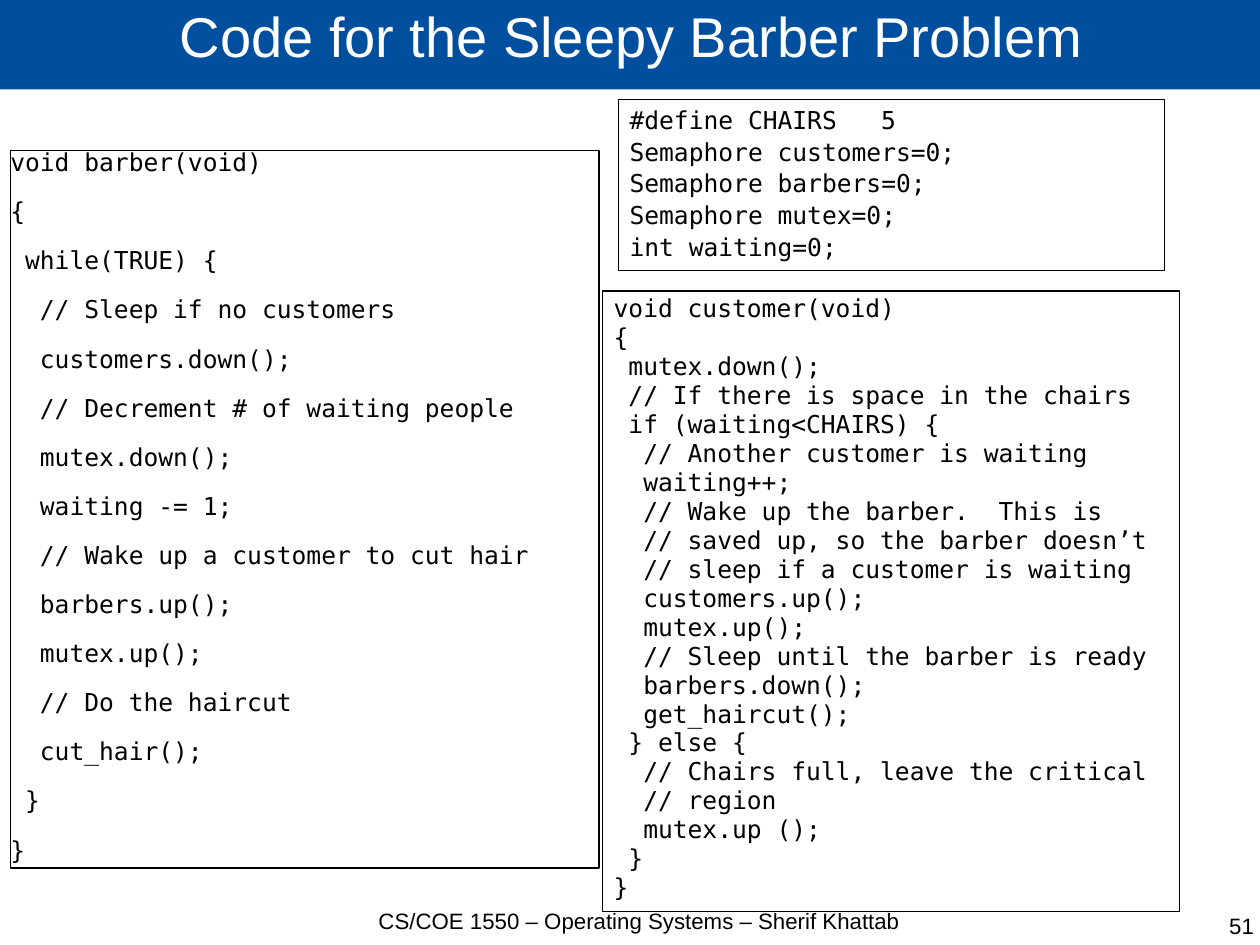
from pptx import Presentation
from pptx.dml.color import RGBColor as Rgb
from pptx.enum.text import MSO_ANCHOR as Anchor, MSO_AUTO_SIZE as Fit, PP_ALIGN as Align
from pptx.oxml import parse_xml
from pptx.oxml.ns import nsdecls
from pptx.util import Cm, Inches, Pt

COLORS = {"bar": "004F9E", "ink": "000000", "paper": "FFFFFF"}
SANS, MONO = "Arial", "DejaVu Sans Mono"
WIDE, HIGH = Cm(28), Cm(21)
PAD = (0.1, 0.05)

TITLE = "Code for the Sleepy Barber Problem"
FOOT = "CS/COE 1550 – Operating Systems – Sherif Khattab"
PAGE = "51"

BARBER = """void barber(void)
{
 while(TRUE) {
  // Sleep if no customers
  customers.down();
  // Decrement # of waiting people
  mutex.down();
  waiting -= 1;
  // Wake up a customer to cut hair
  barbers.up();
  mutex.up();
  // Do the haircut
  cut_hair();
 }
}"""

SETUP = """#define CHAIRS\t5
Semaphore customers=0;
Semaphore barbers=0;
Semaphore mutex=0;
int waiting=0;"""

CUSTOMER = """void customer(void)
{
 mutex.down();
 // If there is space in the chairs
 if (waiting<CHAIRS) {
  // Another customer is waiting
  waiting++;
  // Wake up the barber.  This is
  // saved up, so the barber doesn’t
  // sleep if a customer is waiting
  customers.up();
  mutex.up();
  // Sleep until the barber is ready
  barbers.down();
  get_haircut();
 } else {
  // Chairs full, leave the critical
  // region
  mutex.up ();
 }
}"""

PANELS = [
    dict(text=BARBER, at=(0.82, 15.92, 46.73, 75.94), edge=1, pad=(0, 0),
         hang=0.5, lead=0.9, after=14.2),
    dict(text=FOOT, at=(27.86, 95.97, 45.74, 6.65), font=SANS, size=14, align=Align.CENTER),
    dict(text=PAGE, at=(76.56, 96.57, 22.96, 6.65), font=SANS, size=14, align=Align.RIGHT),
    dict(text=SETUP, at=(49.07, 10.5, 43.36, 18.14), edge=0.75, pad=PAD,
         before=1.4, tab=2.2),
    dict(text=CUSTOMER, at=(47.81, 30.8, 45.81, 65.66), edge=1, pad=PAD,
         hang=0.41, lead=0.9, before=1.5),
]


def tint(name):
    return Rgb.from_string(COLORS[name])


def place(at):
    return [int(share / 100 * side) for share, side in zip(at, (WIDE, HIGH) * 2)]


def write(shape, text, font=MONO, size=15.5, color="ink", align=Align.LEFT, pad=(0, 0),
          anchor=Anchor.TOP, hang=0, lead=1.0, before=0, after=0, tab=None):
    frame = shape.text_frame
    frame.word_wrap, frame.auto_size = True, Fit.NONE
    frame.vertical_anchor = anchor
    frame.margin_left = frame.margin_right = Inches(pad[0])
    frame.margin_top = frame.margin_bottom = Inches(pad[1])
    for row, line in enumerate(text.split("\n")):
        para = frame.add_paragraph() if row else frame.paragraphs[0]
        para.alignment, para.line_spacing = align, lead
        para.space_before, para.space_after = Pt(before), Pt(after)
        props = para._p.get_or_add_pPr()
        if hang:
            props.set("marL", str(Inches(hang)))
            props.set("indent", str(-Inches(hang)))
        if tab and "\t" in line:
            props.append(parse_xml(
                f'<a:tabLst {nsdecls("a")}><a:tab pos="{Inches(tab)}" algn="l"/></a:tabLst>'))
        run = para.add_run()
        run.text = line
        run.font.name, run.font.size = font, Pt(size)
        run.font.color.rgb = tint(color)


def main():
    deck = Presentation()
    deck.slide_width, deck.slide_height = WIDE, HIGH
    slide = deck.slides.add_slide(deck.slide_layouts[5])
    slide.background.fill.solid()
    slide.background.fill.fore_color.rgb = tint("paper")

    head = slide.shapes.title
    head.left, head.top, head.width, head.height = place((0, -0.3, 100.18, 9.75))
    head.fill.solid()
    head.fill.fore_color.rgb = tint("bar")
    write(head, TITLE, SANS, 35.3, "paper", Align.CENTER, anchor=Anchor.MIDDLE, lead=0.69)

    for panel in PANELS:
        style = dict(panel)
        box = slide.shapes.add_textbox(*place(style.pop("at")))
        edge = style.pop("edge", 0)
        if edge:
            box.line.color.rgb = tint("ink")
            box.line.width = Pt(edge)
        write(box, **style)

    deck.save("out.pptx")


if __name__ == "__main__":
    main()
